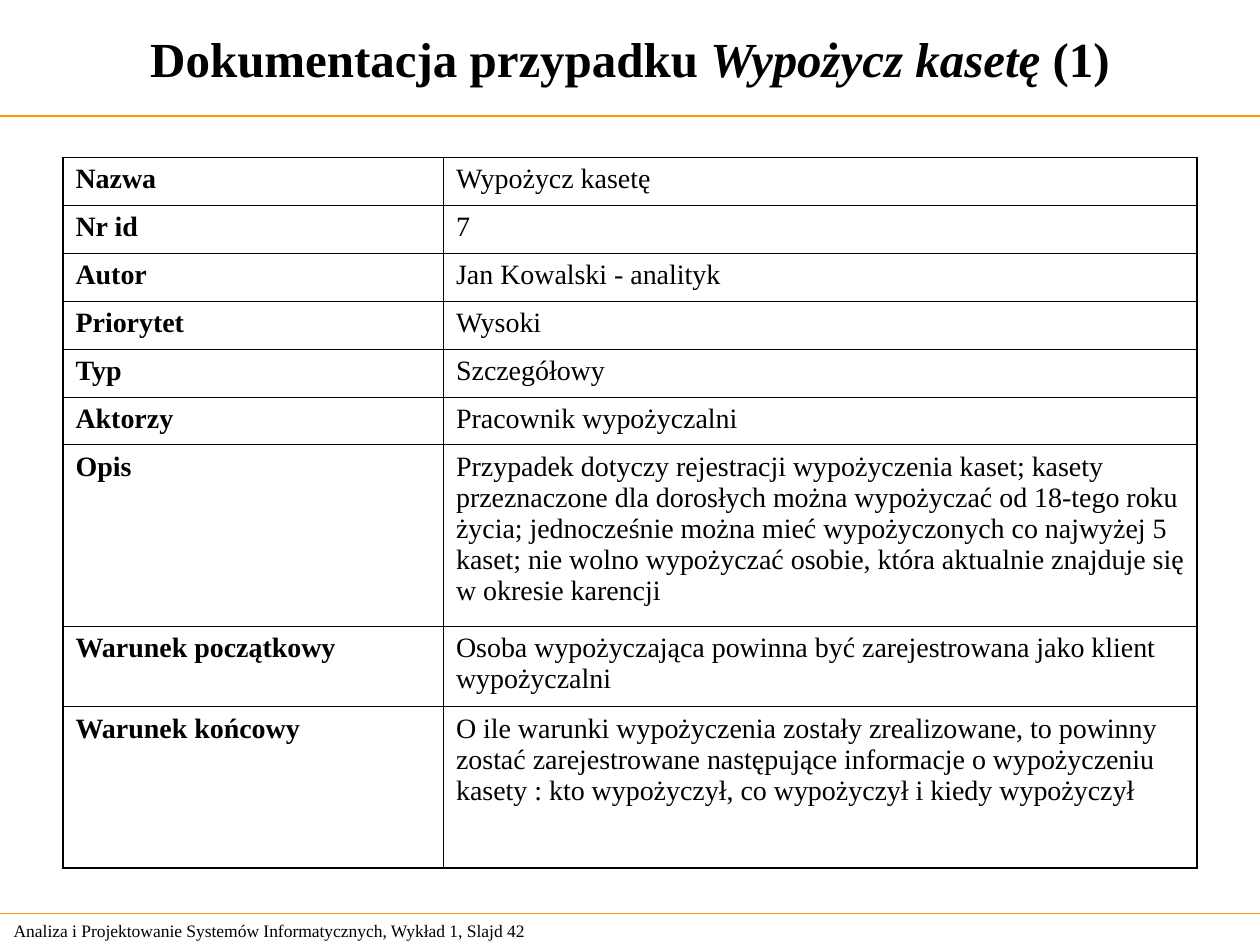
from lxml import etree
from pptx import Presentation
from pptx.dml.color import RGBColor
from pptx.enum.shapes import MSO_CONNECTOR
from pptx.enum.text import MSO_ANCHOR, PP_ALIGN
from pptx.oxml.ns import qn
from pptx.util import Inches, Pt

STRAIGHT = MSO_CONNECTOR.STRAIGHT
MIDDLE = MSO_ANCHOR.MIDDLE
CENTER = PP_ALIGN.CENTER
BLACK = "000000"
ORANGE = "FF9900"
THICK, THIN = Pt(0.96), Pt(0.45)


def style(run, size, bold=False, italic=False):
    run.font.name = "Times New Roman"
    run.font.size = Pt(size)
    run.font.bold = bold
    run.font.italic = italic
    run.font.color.rgb = RGBColor.from_string(BLACK)


def add_border(cell, position, side, width):
    line = etree.Element(qn(f"a:ln{side}"), w=str(int(width)))
    fill = etree.SubElement(line, qn("a:solidFill"))
    etree.SubElement(fill, qn("a:srgbClr"), val=BLACK)
    cell._tc.get_or_add_tcPr().insert(position, line)


prs = Presentation()
prs.slide_width = Inches(10)
prs.slide_height = Inches(7.5)
W, H = prs.slide_width, prs.slide_height
slide = prs.slides.add_slide(prs.slide_layouts[6])
header_bottom = Inches(0.92)
footer_top = Inches(7.25)

footer = slide.shapes.add_textbox(Inches(0.01), footer_top, Inches(4.75), Inches(0.27)).text_frame
footer.word_wrap = True
footer.vertical_anchor = MIDDLE
footer.text = "Analiza i Projektowanie Systemów Informatycznych, Wykład 1, Slajd 42"
style(footer.paragraphs[0].runs[0], 10)

for y in (header_bottom, footer_top):
    rule = slide.shapes.add_connector(STRAIGHT, 0, y, W, y)
    rule.line.color.rgb = RGBColor.from_string(ORANGE)
    rule.line.width = Pt(0.75)
    etree.SubElement(rule._element.spPr, qn("a:effectLst"))

title = slide.shapes.add_textbox(0, 0, W, header_bottom).text_frame
title.word_wrap = True
title.vertical_anchor = MIDDLE
heading = title.paragraphs[0]
heading.alignment = CENTER
for words, italic in (
    ("Dokumentacja przypadku ", False),
    ("Wypożycz kasetę ", True),
    ("(1)", False),
):
    part = heading.add_run()
    part.text = words
    style(part, 28, bold=True, italic=italic)

use_case = [
    ("Nazwa", "Wypożycz kasetę", 0.38),
    ("Nr id", "7", 0.38),
    ("Autor", "Jan Kowalski - analityk", 0.38),
    ("Priorytet", "Wysoki", 0.38),
    ("Typ", "Szczegółowy", 0.38),
    ("Aktorzy", "Pracownik wypożyczalni", 0.38),
    ("Opis", "Przypadek dotyczy rejestracji wypożyczenia kaset; kasety "
     "przeznaczone dla dorosłych można wypożyczać od 18-tego roku życia; "
     "jednocześnie można mieć wypożyczonych co najwyżej 5 kaset; nie wolno "
     "wypożyczać osobie, która aktualnie znajduje się w okresie karencji", 1.44),
    ("Warunek początkowy", "Osoba wypożyczająca powinna być zarejestrowana "
     "jako klient wypożyczalni", 0.64),
    ("Warunek końcowy", "O ile warunki wypożyczenia zostały zrealizowane, to "
     "powinny zostać zarejestrowane następujące informacje o wypożyczeniu "
     "kasety : kto wypożyczył, co wypożyczył i kiedy wypożyczył", 1.28),
]
last_row = len(use_case) - 1
table = slide.shapes.add_table(
    len(use_case), 2, int(W * 0.05), int(H / 6), int(W * 0.9), int(H * 0.75)
).table
table.first_row = False
table.horz_banding = False
table.columns[0].width = Inches(3.02)
table.columns[1].width = Inches(5.98)

for r, (label, value, height) in enumerate(use_case):
    table.rows[r].height = Inches(height)
    for c, content in enumerate((label, value)):
        cell = table.cell(r, c)
        cell.text = content
        style(cell.text_frame.paragraphs[0].runs[0], 16, bold=c == 0)
        cell.fill.background()
        outer = {"L": c == 0, "R": c == 1, "T": r == 0, "B": r == last_row}
        for position, (side, is_outer) in enumerate(outer.items()):
            add_border(cell, position, side, THICK if is_outer else THIN)

prs.save("out.pptx")
